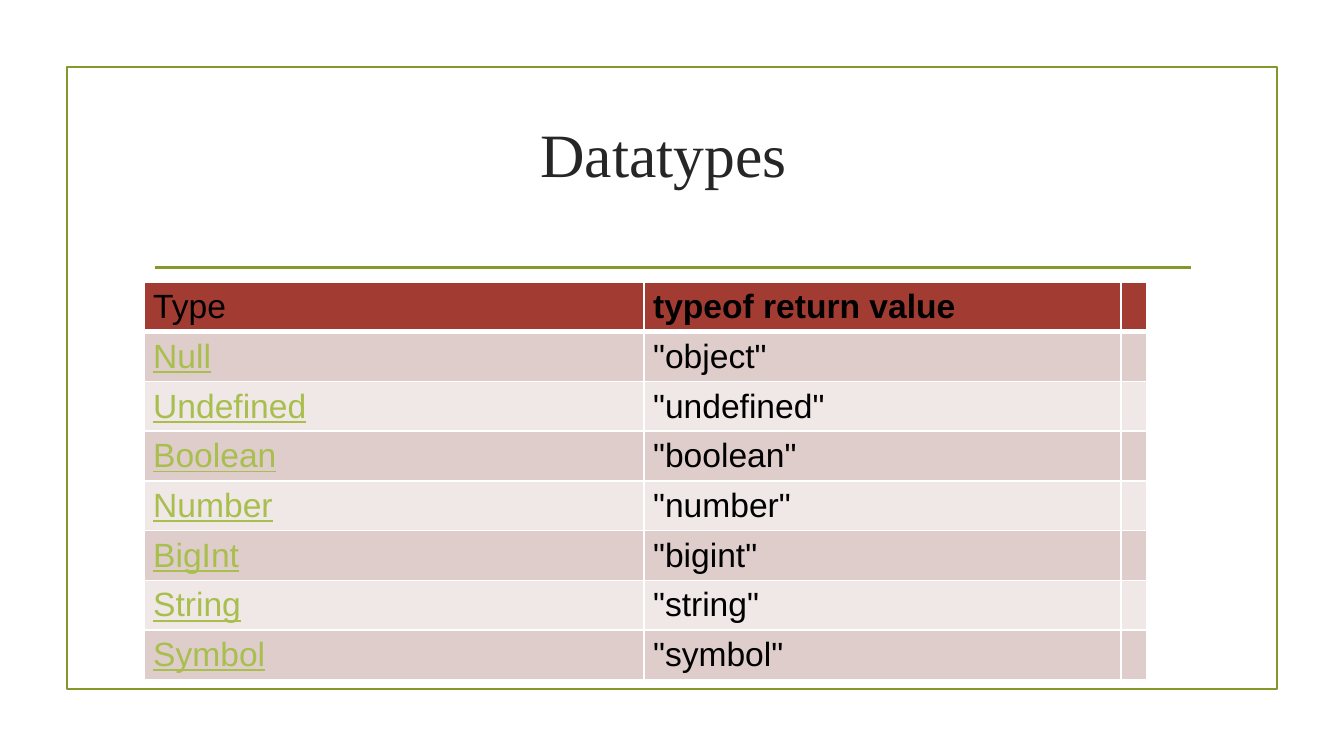
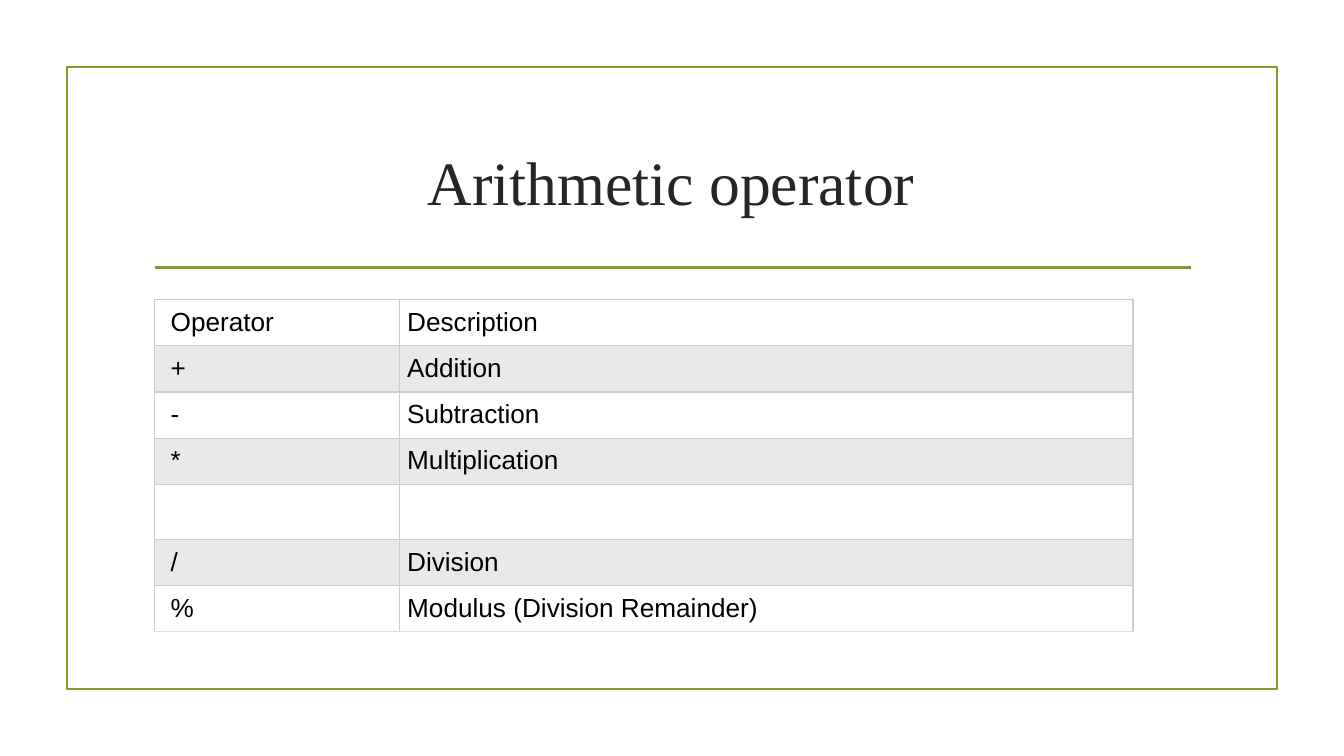
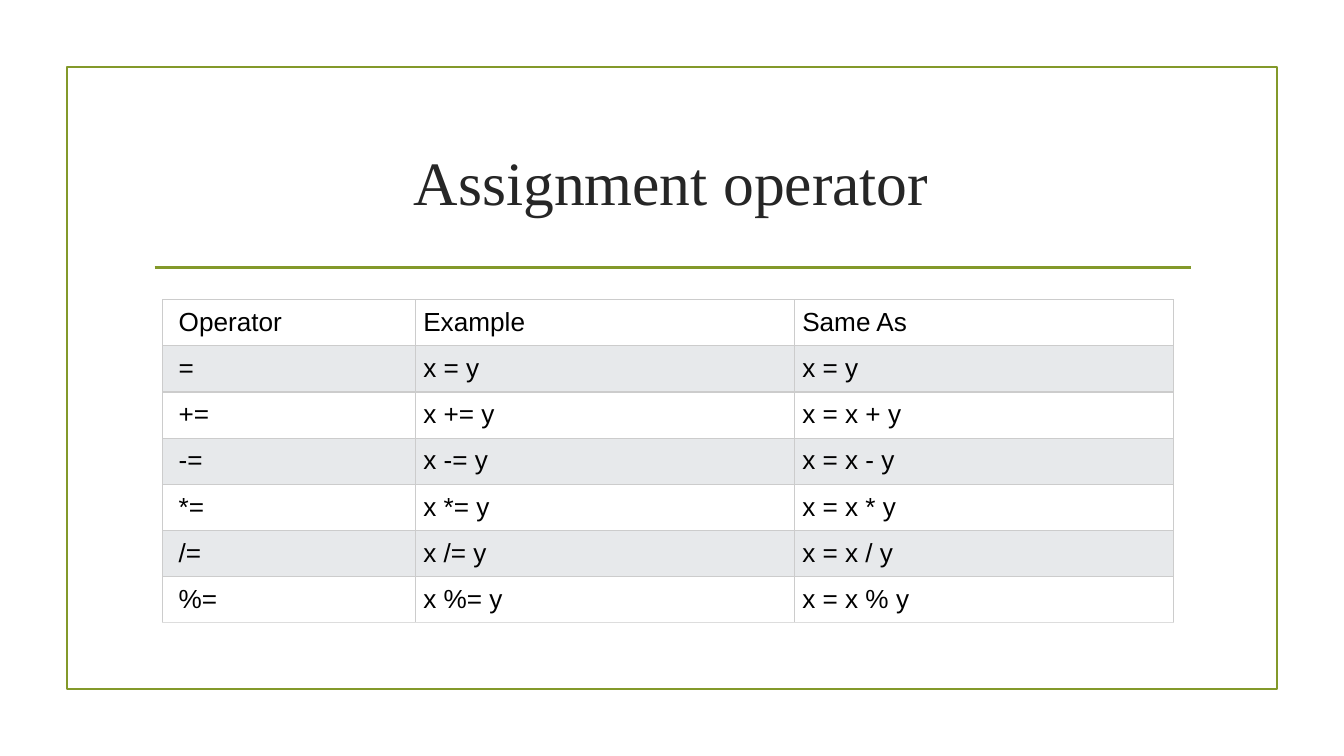
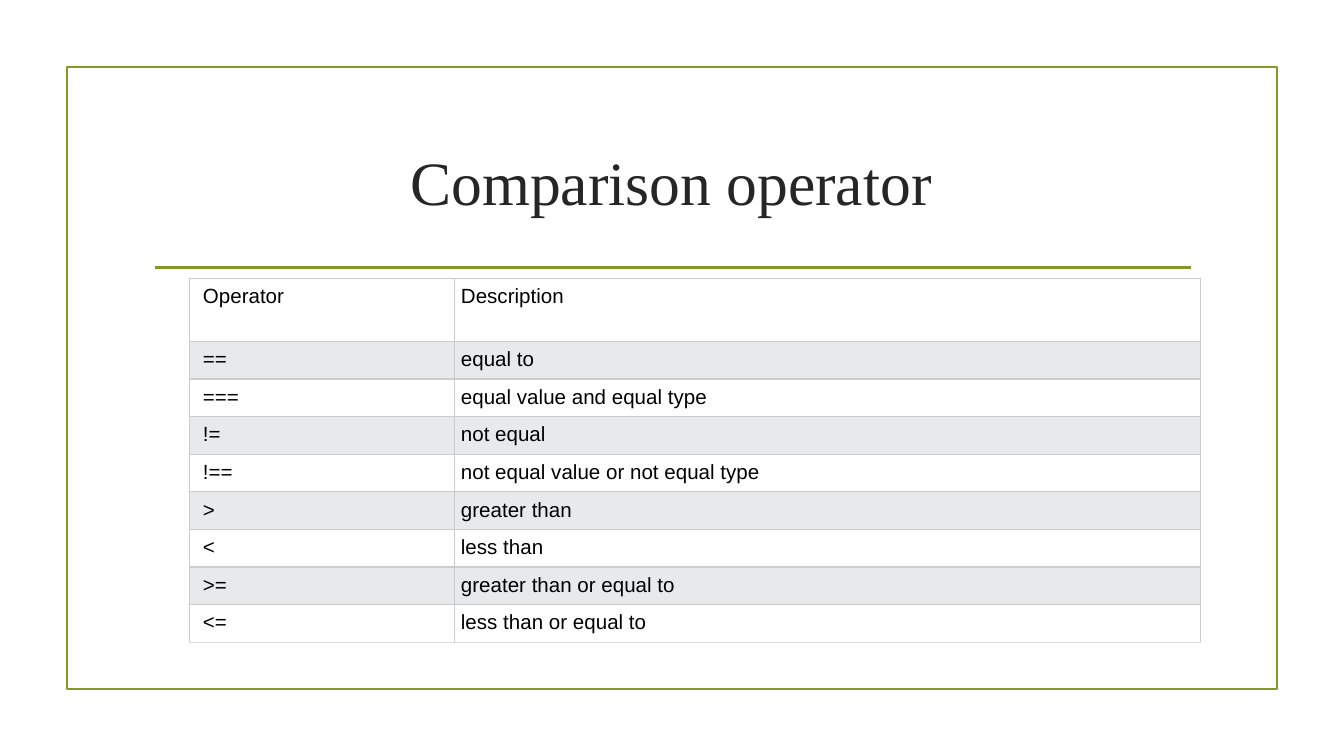
"""Build four slides of tables on JavaScript datatypes and operators."""
from dataclasses import dataclass

from lxml.etree import SubElement
from pptx import Presentation
from pptx.dml.color import RGBColor as Rgb
from pptx.enum.shapes import MSO_CONNECTOR as Connector, MSO_SHAPE as Shape
from pptx.enum.text import MSO_ANCHOR as Anchor, PP_ALIGN as Align
from pptx.oxml import parse_xml
from pptx.oxml.ns import nsdecls, qn
from pptx.util import Inches, Pt


@dataclass(frozen=True)
class Theme:
    accent: str = "83992A"
    title: str = "262626"
    text: str = "000000"
    link: str = "A8BF4D"
    white: str = "FFFFFF"
    header: str = "A23C33"
    red_bands: tuple = ("DFCDCC", "F0E7E7")
    gray_bands: tuple = ("E7E9EB", "FFFFFF")
    grid: str = "CCCCCC"
    grid_end: str = "DDDDDD"
    title_font: str = "Times New Roman"
    body_font: str = "Arial"
    title_size: float = 33
    datatype_size: float = 18
    operator_size: float = 14
    compact_size: float = 11
    line_width: float = 1.25


@dataclass(frozen=True)
class TableStyle:
    size: float
    first_left: float
    side: float
    top: float
    bottom: float
    header: str
    bands: tuple
    grid: tuple
    header_edge: tuple
    last_edge: tuple
    anchor: Anchor = Anchor.TOP
    linked: bool = False


THEME = Theme()


def operator_style(size, inset):
    """Return the gray banded style with a doubled left inset in column one."""
    grid = (THEME.grid, 0.75)
    return TableStyle(size, 2 * inset, inset, inset, inset - 0.01, THEME.white,
                      THEME.gray_bands, grid, grid, (THEME.grid_end, 0.75))


WHITE_GRID = (THEME.white, 1)
DATATYPE_STYLE = TableStyle(THEME.datatype_size, 0.07, 0.07, 0.03, 0.03, THEME.header,
                            THEME.red_bands, WHITE_GRID, (THEME.white, 3), WHITE_GRID,
                            Anchor.MIDDLE, True)
OPERATOR_STYLE = operator_style(THEME.operator_size, 0.06)
COMPACT_STYLE = operator_style(THEME.compact_size, 0.05)


def set_font(paragraph, name, size, color):
    """Set the font of a whole paragraph."""
    font = paragraph.font
    font.name, font.size = name, Pt(size)
    font.color.rgb = Rgb.from_string(color)


def set_line(shape):
    """Give a shape the accent outline."""
    shape.line.color.rgb = Rgb.from_string(THEME.accent)
    shape.line.width = Pt(THEME.line_width)


def add_frame(page):
    """Draw the border and the rule below the title."""
    frame = page.shapes.add_shape(Shape.RECTANGLE, Inches(0.5), Inches(0.5),
                                  Inches(9), Inches(4.63))
    frame.shadow.inherit = False
    frame.fill.background()
    set_line(frame)
    rule = page.shapes.add_connector(Connector.STRAIGHT, Inches(1.15), Inches(1.99),
                                     Inches(8.86), Inches(1.99))
    set_line(rule)
    SubElement(rule.line._get_or_add_ln().getparent(), qn("a:effectLst"))


def add_title(page, text, top):
    """Add the centred slide title."""
    box = page.shapes.add_textbox(Inches(1.06), Inches(top), Inches(7.87), Inches(1.07))
    frame = box.text_frame
    frame.word_wrap = True
    frame.vertical_anchor = Anchor.MIDDLE
    frame.margin_left = frame.margin_right = Inches(0.07)
    frame.margin_top = frame.margin_bottom = Inches(0.04)
    paragraph = frame.paragraphs[0]
    paragraph.text = text
    paragraph.alignment = Align.CENTER
    set_font(paragraph, THEME.title_font, THEME.title_size, THEME.title)


def set_borders(cell, grid, top, bottom):
    """Draw the four borders of a cell."""
    properties = cell._tc.get_or_add_tcPr()
    sides = (("L", grid), ("R", grid), ("T", top), ("B", bottom))
    for index, (side, (color, width)) in enumerate(sides):
        properties.insert(index, parse_xml(
            f'<a:ln{side} {nsdecls("a")} w="{Pt(width)}"><a:solidFill>'
            f'<a:srgbClr val="{color}"/></a:solidFill></a:ln{side}>'))


def fill_cell(cell, text, row, column, style):
    """Write and format one cell."""
    cell.margin_left = Inches(style.side if column else style.first_left)
    cell.margin_right = Inches(style.side)
    cell.margin_top, cell.margin_bottom = Inches(style.top), Inches(style.bottom)
    cell.vertical_anchor = style.anchor
    cell.fill.solid()
    color = style.bands[(row - 1) % 2] if row else style.header
    cell.fill.fore_color.rgb = Rgb.from_string(color)
    paragraph = cell.text_frame.paragraphs[0]
    if text:
        paragraph.text = text
    is_link = style.linked and row > 0 and column == 0
    set_font(paragraph, THEME.body_font, style.size, THEME.link if is_link else THEME.text)
    paragraph.font.underline = is_link
    paragraph.font.bold = style.linked and row == 0 and column == 1


def add_table(page, left, top, widths, heights, rows, style):
    """Add a banded table with ruled cells."""
    table = page.shapes.add_table(len(rows), len(widths), Inches(left), Inches(top),
                                  Inches(sum(widths)), Inches(sum(heights))).table
    table.first_row = table.horz_banding = False
    for column, width in zip(table.columns, widths):
        column.width = Inches(width)
    for table_row, height in zip(table.rows, heights):
        table_row.height = Inches(height)
    edges = [style.grid, style.header_edge] + [style.grid] * (len(rows) - 2)
    edges.append(style.last_edge)
    for row, texts in enumerate(rows):
        for column, text in enumerate(texts):
            cell = table.cell(row, column)
            fill_cell(cell, text, row, column, style)
            set_borders(cell, style.grid, edges[row], edges[row + 1])


def add_page(deck, title, title_top=0.81):
    """Add a blank slide with the shared frame and a title."""
    page = deck.slides.add_slide(deck.slide_layouts[6])
    add_frame(page)
    add_title(page, title, title_top)
    return page


def main():
    """Build and save the deck."""
    deck = Presentation()
    deck.slide_width = Inches(10)
    deck.slide_height = deck.slide_width * 9 // 16

    types = ("Undefined", "Boolean", "Number", "BigInt", "String", "Symbol")
    datatypes = [("Type", "typeof return value", ""), ("Null", '"object"', "")]
    datatypes += [(name, f'"{name.lower()}"', "") for name in types]
    page = add_page(deck, "Datatypes ", 0.6)
    add_table(page, 1.07, 2.1, (3.72, 3.55, 0.19), [0.37] * 8, datatypes, DATATYPE_STYLE)

    arithmetic = [("Operator", "Description"), ("+", "Addition"), ("-", "Subtraction"),
                  ("*", "Multiplication"), ("", ""), ("/", "Division"),
                  ("%", "Modulus (Division Remainder)")]
    page = add_page(deck, "Arithmetic operator")
    heights = [0.34 if name else 0.41 for name, _ in arithmetic]
    add_table(page, 1.15, 2.23, (1.82, 5.46), heights, arithmetic, OPERATOR_STYLE)

    assignment = [("Operator", "Example", "Same As"), ("=", "x = y", "x = y")]
    assignment += [(f"{sign}=", f"x {sign}= y", f"x = x {sign} y") for sign in "+-*/%"]
    page = add_page(deck, "Assignment operator")
    add_table(page, 1.21, 2.23, (1.88, 2.82, 2.82), [0.34] * 7, assignment, OPERATOR_STYLE)

    comparison = [("Operator", "Description"), ("==", "equal to"),
                  ("===", "equal value and equal type"), ("!=", "not equal"),
                  ("!==", "not equal value or not equal type"), (">", "greater than"),
                  ("<", "less than"), (">=", "greater than or equal to"),
                  ("<=", "less than or equal to")]
    page = add_page(deck, "Comparison operator")
    add_table(page, 1.41, 2.07, (1.97, 5.55), [0.47] + [0.28] * 8, comparison,
              COMPACT_STYLE)

    deck.save("out.pptx")


if __name__ == "__main__":
    main()
